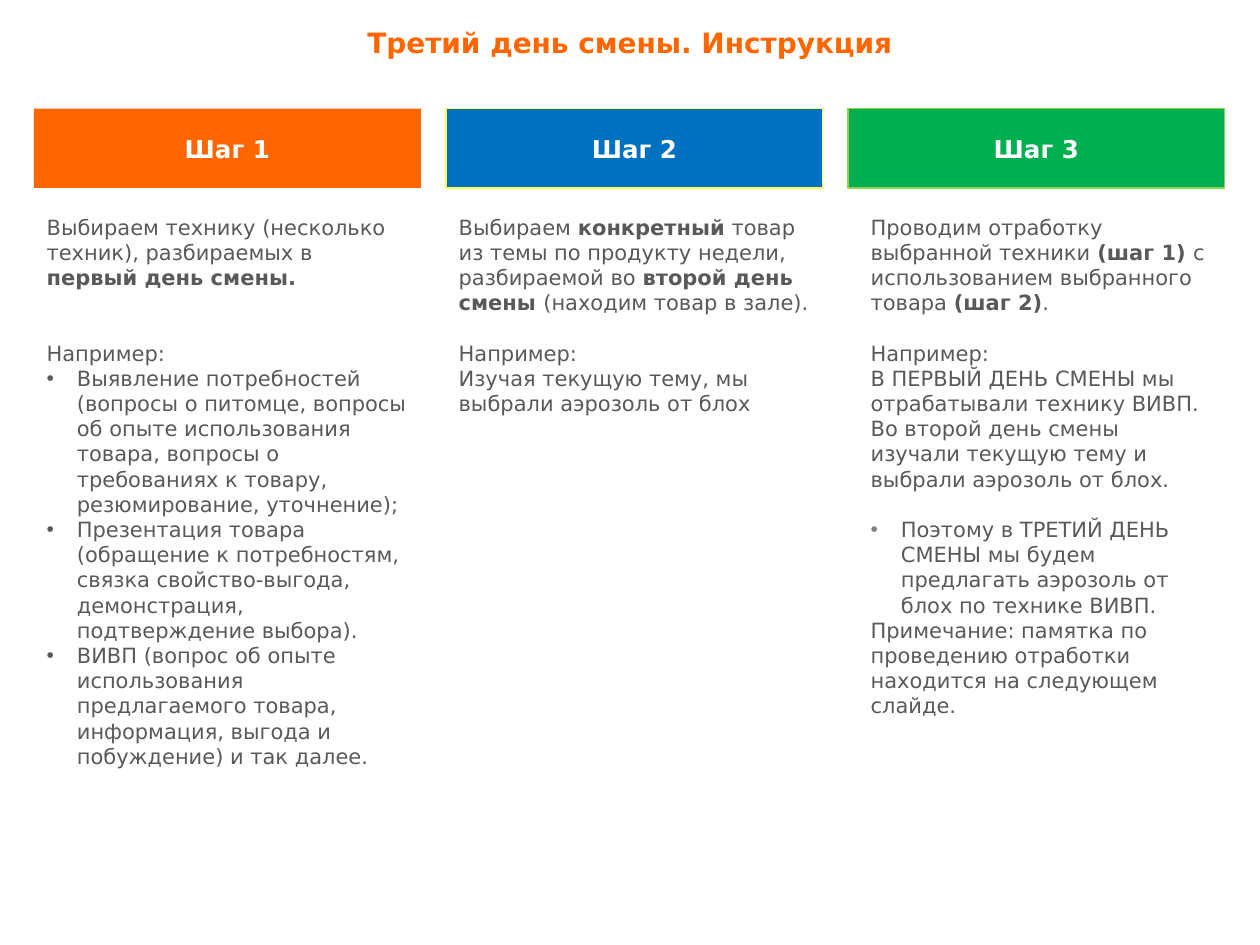
from dataclasses import dataclass

from lxml import etree
from pptx import Presentation
from pptx import util as u
from pptx.dml.color import RGBColor
from pptx.enum import shapes, text
from pptx.oxml.ns import qn


@dataclass(frozen=True)
class Theme:
    font: str = "DejaVu Sans"
    title: int = 16
    head: int = 14
    body: int = 12
    line: float = 14.4
    indent: float = 0.24
    orange: str = "FF6600"
    blue: str = "0070C0"
    green: str = "00B050"
    yellow: str = "FFFF47"
    lime: str = "92D050"
    ink: str = "595959"
    grey: str = "808080"
    white: str = "FFFFFF"


T = Theme()
W, H = 10, 7.5
MARGIN, GAP = 0.027 * W, 0.02 * W
HEAD_TOP, HEAD_H, BODY_TOP = 0.115 * H, 0.084 * H, 0.22 * H
TALL, SHORT = 0.66 * H, 0.4 * H

STEPS = [
    dict(name="Шаг 1", width=3.07, fill=T.orange, height=TALL, items=[
        ("Выбираем технику (несколько техник), разбираемых в **первый день смены.**", {}),
        ("Например:", dict(skip=2)),
        ("Выявление потребностей (вопросы о питомце, вопросы об опыте использования товара, "
         "вопросы о требованиях к товару, резюмирование, уточнение);", dict(bullet=T.ink)),
        ("Презентация товара (обращение к потребностям, связка свойство-выгода, "
         "демонстрация, подтверждение выбора).", dict(bullet=T.ink)),
        ("ВИВП (вопрос об опыте использования предлагаемого товара, информация, "
         "выгода и побуждение) и так далее.", dict(bullet=T.ink)),
    ]),
    dict(name="Шаг 2", width=2.99, fill=T.blue, line=T.yellow, height=SHORT, items=[
        ("Выбираем **конкретный** товар из темы по продукту недели, разбираемой во "
         "**второй день смены **(находим товар в зале).", {}),
        ("Например:", dict(skip=1)),
        ("Изучая текущую тему, мы выбрали аэрозоль от блох", {}),
    ]),
    dict(name="Шаг 3", width=2.99, fill=T.green, line=T.lime, height=TALL, inset=0.08, items=[
        ("Проводим отработку выбранной техники **(шаг 1) **с использованием "
         "выбранного товара **(шаг 2)**.", {}),
        ("Например:", dict(skip=1)),
        ("В ПЕРВЫЙ ДЕНЬ СМЕНЫ мы отрабатывали технику ВИВП. Во второй день смены "
         "изучали текущую тему и выбрали аэрозоль от блох.", {}),
        ("Поэтому в ТРЕТИЙ ДЕНЬ СМЕНЫ мы будем предлагать аэрозоль от блох "
         "по технике ВИВП.", dict(skip=1, bullet=T.grey)),
        ("Примечание: памятка по проведению отработки находится на следующем слайде.", {}),
    ]),
]


def place(sp, x, y, w, h):
    sp.left, sp.top, sp.width, sp.height = (u.Inches(v) for v in (x, y, w, h))


def setup_frame(sp, anchor):
    tf = sp.text_frame
    tf.word_wrap = True
    tf.auto_size = text.MSO_AUTO_SIZE.NONE
    tf.vertical_anchor = anchor
    tf.margin_left = tf.margin_right = u.Inches(0.1)
    tf.margin_top = tf.margin_bottom = u.Inches(0.05)
    return tf


def write(p, content, size=T.body, color=T.ink, bold=False,
          align=text.PP_ALIGN.LEFT, skip=0, bullet=None):
    p.alignment = align
    p.line_spacing = 1.0
    p.space_before, p.space_after = u.Pt(skip * T.line), u.Pt(0)
    pPr = p._p.get_or_add_pPr()
    indent = u.Inches(T.indent) if bullet else 0
    pPr.set("marL", str(indent))
    pPr.set("indent", str(-indent))
    if bullet:
        clr = etree.SubElement(pPr, qn("a:buClr"))
        etree.SubElement(clr, qn("a:srgbClr"), val=bullet)
        etree.SubElement(pPr, qn("a:buFont"), typeface="Arial")
        etree.SubElement(pPr, qn("a:buChar"), char="•")
    else:
        etree.SubElement(pPr, qn("a:buNone"))
    for i, part in enumerate(content.split("**")):
        if part:
            r = p.add_run()
            r.text = part
            r.font.name, r.font.size = T.font, u.Pt(size)
            r.font.bold = bold or i % 2 == 1
            r.font.color.rgb = RGBColor.from_string(color)


def add_title(s, content, x, y, w, h):
    sp = s.shapes.title
    place(sp, x, y, w, h)
    tf = setup_frame(sp, text.MSO_ANCHOR.TOP)
    write(tf.paragraphs[0], content, size=T.title, color=T.orange, bold=True,
          align=text.PP_ALIGN.CENTER)


def add_head(s, step, x, y, w, h):
    sp = s.shapes.add_shape(shapes.MSO_SHAPE.RECTANGLE, 0, 0, 0, 0)
    place(sp, x, y, w, h)
    sp.shadow.inherit = False
    sp.fill.solid()
    sp.fill.fore_color.rgb = RGBColor.from_string(step["fill"])
    if "line" in step:
        sp.line.color.rgb = RGBColor.from_string(step["line"])
        sp.line.width = u.Pt(0.75)
    else:
        sp.line.fill.background()
    tf = setup_frame(sp, text.MSO_ANCHOR.MIDDLE)
    write(tf.paragraphs[0], step["name"], size=T.head, color=T.white, bold=True,
          align=text.PP_ALIGN.CENTER)


def add_body(sp, items, x, y, w, h):
    place(sp, x, y, w, h)
    tf = setup_frame(sp, text.MSO_ANCHOR.TOP)
    for i, (content, fmt) in enumerate(items):
        p = tf.add_paragraph() if i else tf.paragraphs[0]
        write(p, content, **fmt)


def main():
    prs = Presentation()
    prs.slide_width, prs.slide_height = u.Inches(W), u.Inches(H)
    s = prs.slides.add_slide(prs.slide_layouts.get_by_name("Comparison"))
    add_title(s, "Третий день смены. Инструкция", 0, 0.02 * H, W, 0.05 * H)
    bodies = [sp for sp in s.placeholders if sp.placeholder_format.idx in range(1, 5)]
    x = MARGIN
    for step, body in zip(STEPS, bodies):
        w, inset = step["width"], step.get("inset", 0)
        add_head(s, step, x, HEAD_TOP, w, HEAD_H)
        add_body(body, step["items"], x + inset, BODY_TOP, w - inset, step["height"])
        x += w + GAP
    for sp in bodies[len(STEPS):]:
        sp.element.getparent().remove(sp.element)
    prs.save("out.pptx")


if __name__ == "__main__":
    main()
